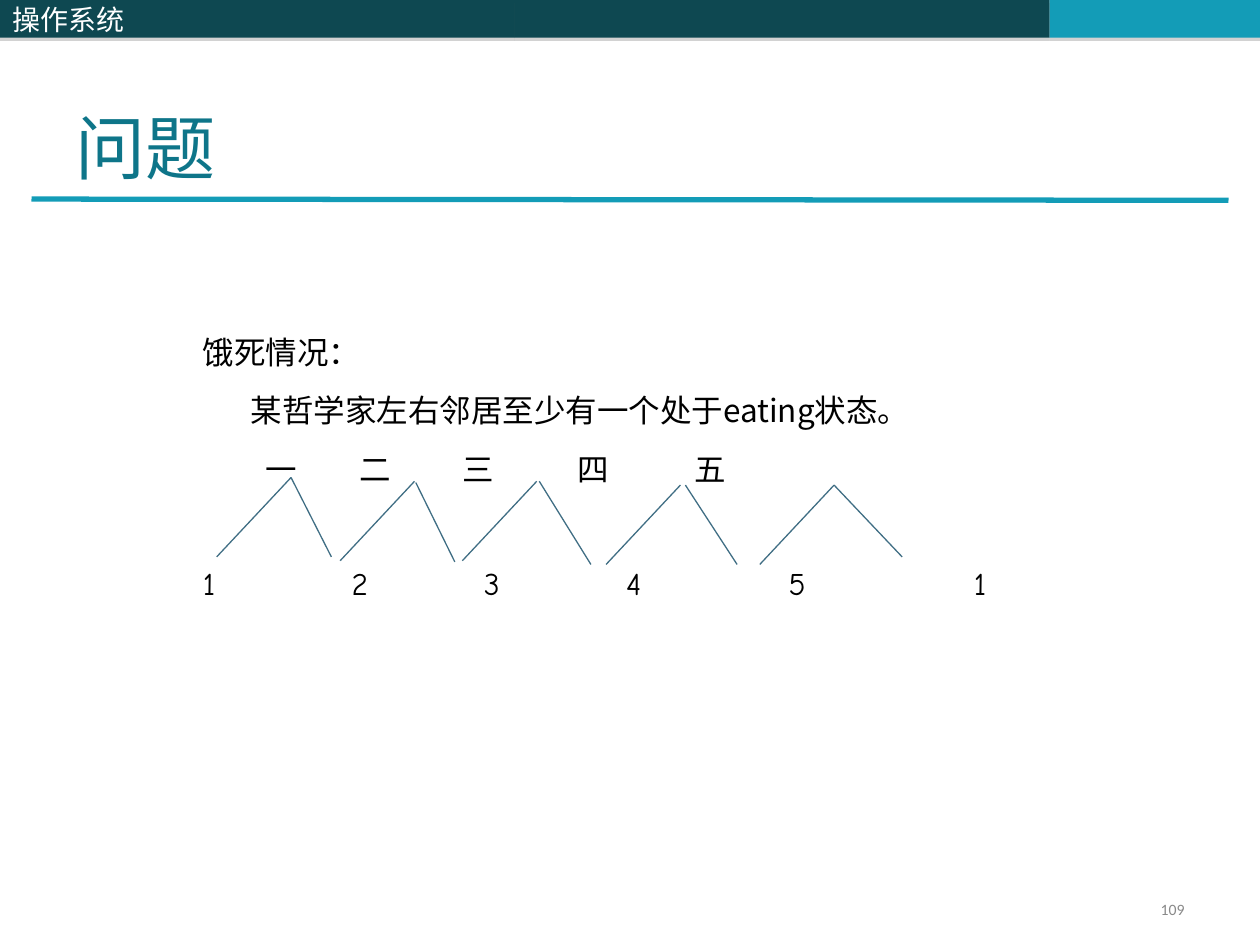
from dataclasses import dataclass

from lxml.etree import SubElement
from pptx import Presentation
from pptx.dml.color import RGBColor
from pptx.enum.shapes import MSO_CONNECTOR as Connector, MSO_SHAPE as Shape
from pptx.enum.text import MSO_ANCHOR as Anchor, MSO_AUTO_SIZE as AutoSize, PP_ALIGN as Align
from pptx.oxml.ns import qn
from pptx.util import Inches, Pt

COLORS = {
    "dark": "0E4851", "accent": "139CB7", "title": "0E7589", "branch": "406E84",
    "text": "000000", "white": "FFFFFF", "number": "898989", "shadow": "808080",
}
CJK = "Noto Sans CJK SC"
COMIC = "Comic Neue"
BODY_SIZE = 18
LINE_HEIGHT = 22


@dataclass(frozen=True)
class Bar:
    left: float
    width: float
    color: str
    label: str = ""


@dataclass(frozen=True)
class Branch:
    """Two lines falling from a philosopher to the forks on both sides."""
    left_top: tuple[float, float]
    left_foot: tuple[float, float]
    right_top: tuple[float, float]
    right_foot: tuple[float, float]


@dataclass(frozen=True)
class Sentence:
    text: str
    indent: float = 0
    before: float = 0


@dataclass(frozen=True)
class LabelRow:
    top: float
    labels: str
    lefts: tuple[float, ...]


BARS = [
    Bar(4.08, 4.25, "dark"),
    Bar(8.33, 1.67, "accent"),
    Bar(0, 4.08, "dark", "操作系统"),
]
SENTENCES = [
    Sentence("饿死情况："),
    Sentence("某哲学家左右邻居至少有一个处于eating状态。", 0.38, 11.2),
]
LABEL_ROWS = [
    LabelRow(3.57, "一二三四五", (2.11, 2.85, 3.67, 4.58, 5.51)),
    LabelRow(4.47, "123451", (1.61, 2.79, 3.84, 4.97, 6.26, 7.73)),
]
BRANCHES = [
    Branch((2.31, 3.79), (1.72, 4.42), (2.31, 3.79), (2.63, 4.42)),
    Branch((3.29, 3.82), (2.7, 4.45), (3.3, 3.83), (3.61, 4.46)),
    Branch((4.26, 3.82), (3.67, 4.45), (4.28, 3.82), (4.69, 4.48)),
    Branch((5.4, 3.85), (4.81, 4.48), (5.44, 3.85), (5.85, 4.48)),
    Branch((6.62, 3.85), (6.03, 4.48), (6.62, 3.85), (7.16, 4.42)),
]


def rgb(name: str) -> RGBColor:
    return RGBColor.from_string(COLORS[name])


def place(box, left: float, top: float, width: float, height: float) -> None:
    box.left, box.top = Inches(left), Inches(top)
    box.width, box.height = Inches(width), Inches(height)


def add_span(para, text: str, size: float, font: str, color: str) -> None:
    span = para.add_run()
    span.text = text
    span.font.size = Pt(size)
    span.font.name = font
    span.font.color.rgb = rgb(color)
    SubElement(span.font._element, qn("a:ea"), typeface=CJK)


def add_line(page, start: tuple[float, float], end: tuple[float, float],
             color: str, weight: float) -> None:
    line = page.shapes.add_connector(
        Connector.STRAIGHT, *(Inches(value) for value in (*start, *end)))
    line.line.color.rgb = rgb(color)
    line.line.width = Pt(weight)
    SubElement(line._element.spPr, qn("a:effectLst"))


def add_bar(page, bar: Bar) -> None:
    box = page.shapes.add_shape(
        Shape.RECTANGLE, Inches(bar.left), 0, Inches(bar.width), Inches(0.3))
    box.fill.solid()
    box.fill.fore_color.rgb = rgb(bar.color)
    box.line.fill.background()
    box.shadow.inherit = False
    effects = box._element.spPr.find(qn("a:effectLst"))
    shadow = SubElement(effects, qn("a:outerShdw"), dist=str(Pt(1.8)),
                        dir="5400000", rotWithShape="0")
    tint = SubElement(shadow, qn("a:srgbClr"), val=COLORS["shadow"])
    SubElement(tint, qn("a:alpha"), val="35000")
    if bar.label:
        box.text_frame.vertical_anchor = Anchor.MIDDLE
        para = box.text_frame.paragraphs[0]
        para.alignment = Align.LEFT
        add_span(para, bar.label, 16, CJK, "white")


def add_sentence(para, sentence: Sentence) -> None:
    para.line_spacing = Pt(LINE_HEIGHT)
    para.space_before = Pt(sentence.before)
    props = para._p.get_or_add_pPr()
    props.set("marL", str(Inches(sentence.indent)))
    props.set("indent", "0")
    SubElement(props, qn("a:buNone"))
    add_span(para, sentence.text, BODY_SIZE, CJK, "text")


def add_label_row(page, row: LabelRow) -> None:
    for label, left in zip(row.labels, row.lefts):
        box = page.shapes.add_textbox(
            Inches(left), Inches(row.top), Inches(0.4), Pt(LINE_HEIGHT))
        frame = box.text_frame
        frame.word_wrap = True
        frame.margin_left = frame.margin_right = 0
        frame.margin_top = frame.margin_bottom = 0
        para = frame.paragraphs[0]
        para.line_spacing = Pt(LINE_HEIGHT)
        add_span(para, label, BODY_SIZE, COMIC, "text")


def main() -> None:
    deck = Presentation()
    deck.slide_width, deck.slide_height = Inches(10), Inches(7.5)
    page = deck.slides.add_slide(deck.slide_layouts[1])

    # Header bars and the rule under the title
    for bar in BARS:
        add_bar(page, bar)
    add_line(page, (0.25, 1.58), (9.75, 1.59), "accent", 3)

    # Title
    title = page.shapes.title
    place(title, 0.5, 0.3, 9, 1.25)
    title.text_frame.auto_size = AutoSize.NONE
    title.text_frame.vertical_anchor = Anchor.BOTTOM
    para = title.text_frame.paragraphs[0]
    para.alignment = Align.LEFT
    add_span(para, "问题", 40, "Times New Roman", "title")

    # Starvation case
    body = page.placeholders[1]
    place(body, 1.51, 2.59, 7.37, 0.9)
    frame = body.text_frame
    frame.auto_size = AutoSize.NONE
    for index, sentence in enumerate(SENTENCES):
        add_sentence(frame.add_paragraph() if index else frame.paragraphs[0], sentence)

    # Philosophers above, forks below, and the branches between them
    for row in LABEL_ROWS:
        add_label_row(page, row)
    for branch in BRANCHES:
        add_line(page, branch.left_top, branch.left_foot, "branch", 0.75)
        add_line(page, branch.right_top, branch.right_foot, "branch", 0.75)

    # Page number
    number = page.shapes.add_textbox(Inches(7.17), Inches(7.08), Inches(2.33), Inches(0.27))
    number.text_frame.word_wrap = True
    number.text_frame.vertical_anchor = Anchor.MIDDLE
    para = number.text_frame.paragraphs[0]
    para.alignment = Align.RIGHT
    add_span(para, "109", 9, "Calibri", "number")

    deck.save("out.pptx")


if __name__ == "__main__":
    main()
